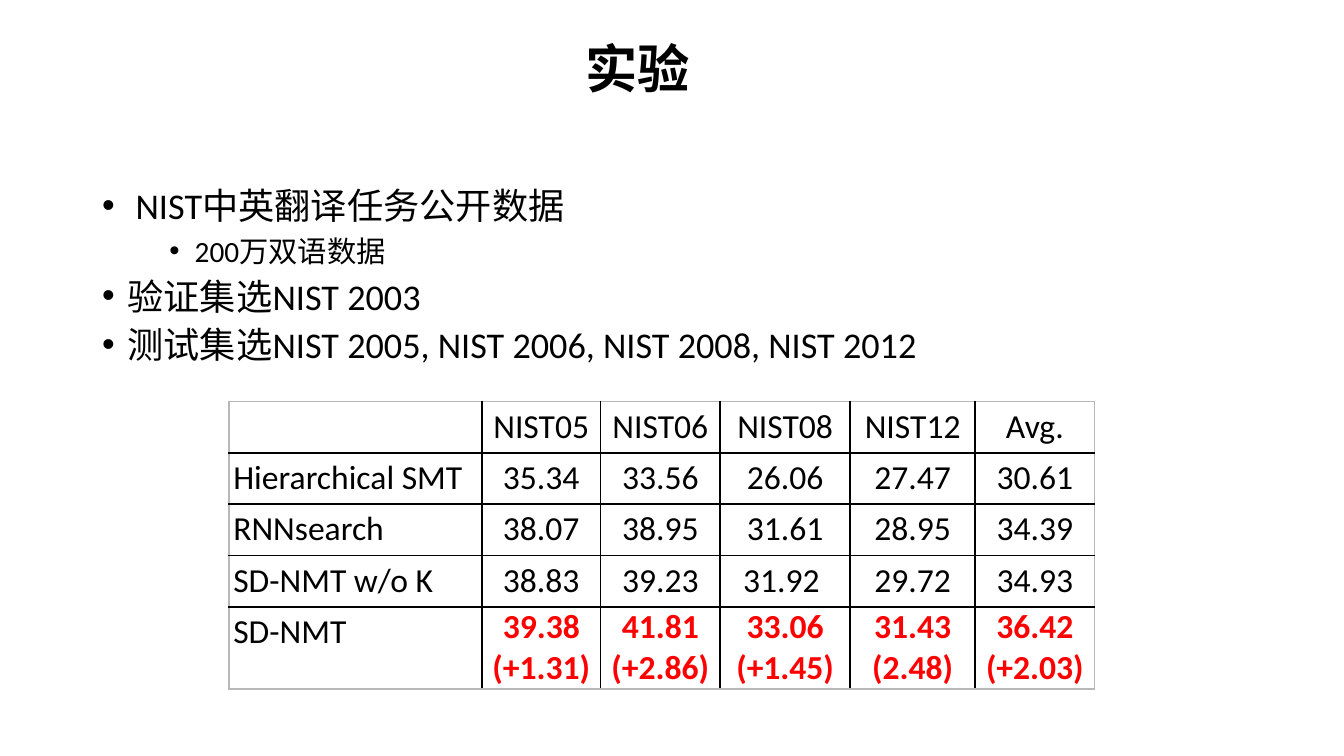
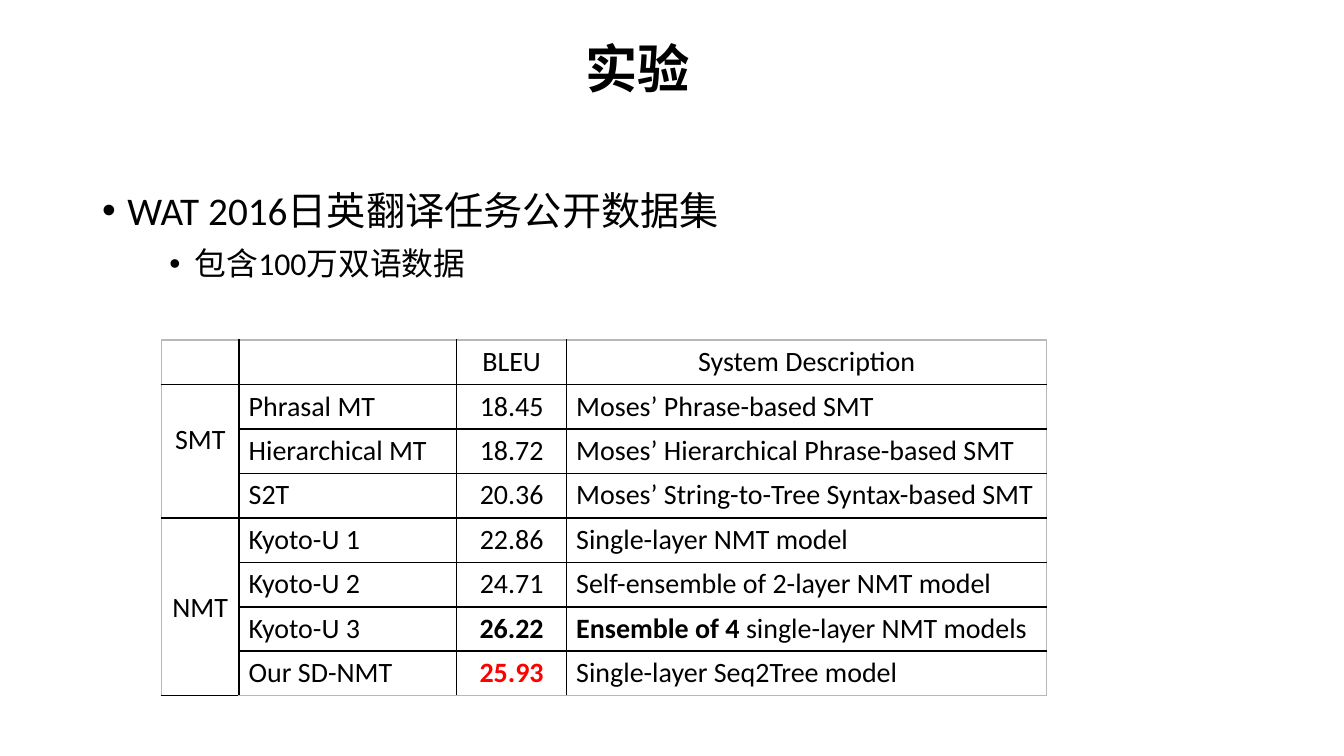
from dataclasses import dataclass
from typing import Union

from lxml import etree
from pptx import Presentation
from pptx import util as u
from pptx.dml.color import RGBColor
from pptx.enum import text
from pptx.oxml import ns

BLACK, RED, GREY = "000000", "FF0000", "B8B8B8"
BODY_FONT, TITLE_FONT = "Calibri", "Times New Roman"
HANGING = 0.48
SIDE_INSET, TOP_INSET = 0.18, 0.09


@dataclass
class Run:
    text: str
    bold: bool = False
    colour: str = BLACK


@dataclass
class Bullet:
    text: str
    size: float
    level: int = 0


# A cell is plain text or a list of paragraphs, each a list of runs.
CellText = Union[str, list[list[Run]]]


@dataclass
class Grid:
    left: float
    top: float
    columns: list[float]
    rows: list[float]
    size: float
    side_inset: float
    centred: set[int]
    cells: list[list[CellText]]


def rgb(colour: str) -> RGBColor:
    return RGBColor.from_string(colour)


def write_runs(paragraph, runs: list[Run], size: float, font: str = BODY_FONT) -> None:
    for part in runs:
        run = paragraph.add_run()
        run.text = part.text
        run.font.name = font
        run.font.size = u.Pt(size)
        run.font.bold = part.bold
        run.font.color.rgb = rgb(part.colour)


def add_text_box(slide, left: float, top: float, width: float, height: float):
    frame = slide.shapes.add_textbox(
        u.Cm(left), u.Cm(top), u.Cm(width), u.Cm(height)).text_frame
    frame.word_wrap = True
    return frame


def add_title(slide, title: str) -> None:
    frame = add_text_box(slide, 3.61, 0, 16.89, 2.57)
    frame.vertical_anchor = text.MSO_ANCHOR.MIDDLE
    paragraph = frame.paragraphs[0]
    paragraph.alignment = text.PP_ALIGN.CENTER
    write_runs(paragraph, [Run(title, bold=True)], 28, TITLE_FONT)


def add_bullets(slide, height: float, line_spacing: float, bullets: list[Bullet]) -> None:
    frame = add_text_box(slide, 1.75, 3.53, 21.89, height)
    frame.margin_left = frame.margin_right = u.Cm(SIDE_INSET)
    frame.margin_top = frame.margin_bottom = u.Cm(TOP_INSET)
    for index, bullet in enumerate(bullets):
        paragraph = frame.add_paragraph() if index else frame.paragraphs[0]
        paragraph.level = bullet.level
        paragraph.line_spacing = line_spacing
        paragraph.space_before = u.Pt(7.5 if index else 0)
        properties = paragraph._p.get_or_add_pPr()
        properties.set("marL", str(u.Cm(HANGING + 1.27 * bullet.level)))
        properties.set("indent", str(-u.Cm(HANGING)))
        etree.SubElement(properties, ns.qn("a:buFont")).set("typeface", "Arial")
        etree.SubElement(properties, ns.qn("a:buChar")).set("char", "•")
        write_runs(paragraph, [Run(bullet.text)], bullet.size)


def set_borders(cell, colours: dict[str, str]) -> None:
    """Put 1 pt lines ahead of the fill, where the schema wants them."""
    properties = cell._tc.get_or_add_tcPr()
    for position, (side, colour) in enumerate(colours.items()):
        line = etree.Element(ns.qn(f"a:ln{side}"), w=str(u.Pt(1)))
        fill = etree.SubElement(line, ns.qn("a:solidFill"))
        etree.SubElement(fill, ns.qn("a:srgbClr")).set("val", colour)
        properties.insert(position, line)


def fill_cell(cell, content: CellText, size: float, centred: bool) -> None:
    lines = [[Run(content)]] if isinstance(content, str) else content
    for index, runs in enumerate(lines):
        frame = cell.text_frame
        paragraph = frame.add_paragraph() if index else frame.paragraphs[0]
        if centred:
            paragraph.alignment = text.PP_ALIGN.CENTER
        if content:
            write_runs(paragraph, runs, size)
        else:
            end = etree.SubElement(paragraph._p, ns.qn("a:endParaRPr"))
            end.set("sz", str(int(size * 100)))


def add_grid(slide, grid: Grid):
    last_row, last_column = len(grid.rows) - 1, len(grid.columns) - 1
    table = slide.shapes.add_table(
        len(grid.rows), len(grid.columns), u.Cm(grid.left), u.Cm(grid.top),
        u.Cm(sum(grid.columns)), u.Cm(sum(grid.rows))).table
    table.first_row = table.horz_banding = False
    for column, width in zip(table.columns, grid.columns):
        column.width = u.Cm(width)
    for row, height in zip(table.rows, grid.rows):
        row.height = u.Cm(height)
    for r, contents in enumerate(grid.cells):
        for c, content in enumerate(contents):
            cell = table.cell(r, c)
            cell.margin_left = cell.margin_right = u.Cm(grid.side_inset)
            cell.margin_top = cell.margin_bottom = u.Cm(TOP_INSET)
            cell.fill.background()
            set_borders(cell, {
                "L": GREY if c == 0 else BLACK,
                "R": GREY if c == last_column else BLACK,
                "T": GREY if r == 0 else BLACK,
                "B": GREY if r == last_row else BLACK})
            fill_cell(cell, content, grid.size, r == 0 or c in grid.centred)
    return table


def red_lines(*lines: str) -> CellText:
    return [[Run(line, bold=True, colour=RED)] for line in lines]


def build_nist_slide(slide) -> None:
    grid = Grid(
        4.33, 7.59, [4.78, 2.24, 2.26, 2.46, 2.36, 2.26], [0.97] * 4 + [1.52],
        18, 0.08, set(range(1, 6)), [
            ["", "NIST05", "NIST06", "NIST08", "NIST12", "Avg."],
            ["Hierarchical SMT", "35.34", "33.56", "26.06", "27.47", "30.61"],
            ["RNNsearch", "38.07", "38.95", "31.61", "28.95", "34.39"],
            ["SD-NMT w/o K", "38.83", "39.23", "31.92 ", "29.72", "34.93"],
            ["SD-NMT", red_lines("39.38", "(+1.31)"), red_lines("41.81", "(+2.86)"),
             red_lines("33.06", "(+1.45)"), red_lines("31.43", "(2.48)"),
             red_lines("36.42 (+2.03)")],
        ])
    table = add_grid(slide, grid)
    for column in grid.centred:
        cell = table.cell(4, column)
        cell.margin_top = cell.margin_bottom = 0
    add_bullets(slide, 3.76, 0.8, [
        Bullet(" NIST中英翻译任务公开数据", 19.4),
        Bullet("200万双语数据", 15.7, level=1),
        Bullet("验证集选NIST 2003", 19.4),
        Bullet("测试集选NIST 2005, NIST 2006, NIST 2008, NIST 2012", 19.4),
    ])


def build_wat_slide(slide) -> None:
    table = add_grid(slide, Grid(
        3.05, 6.43, [1.47, 4.11, 2.08, 9.07], [0.84] * 8, 15, SIDE_INSET, {0, 2}, [
            ["", "", "BLEU", "System Description"],
            ["SMT", "Phrasal MT", "18.45", "Moses’ Phrase-based SMT"],
            ["", "Hierarchical MT", "18.72", "Moses’ Hierarchical Phrase-based SMT"],
            ["", "S2T", "20.36", "Moses’ String-to-Tree Syntax-based SMT"],
            ["NMT", "Kyoto-U 1", "22.86", "Single-layer NMT model"],
            ["", "Kyoto-U 2", "24.71", "Self-ensemble of 2-layer NMT model"],
            ["", "Kyoto-U 3", [[Run("26.22", bold=True)]],
             [[Run("Ensemble of 4 ", bold=True), Run("single-layer NMT models")]]],
            ["", "Our SD-NMT", red_lines("25.93"), "Single-layer Seq2Tree model"],
        ]))
    line_height = 0.64
    for first, last, lines_above in ((1, 3, 1), (4, 7, 2)):
        group = table.cell(first, 0)
        group.merge(table.cell(last, 0))
        group.margin_top = u.Cm(TOP_INSET + lines_above * line_height)
    add_bullets(slide, 3.15, 0.9, [
        Bullet("WAT 2016日英翻译任务公开数据集", 21),
        Bullet("包含100万双语数据", 17, level=1),
    ])


def main() -> None:
    presentation = Presentation()
    presentation.slide_width = u.Cm(25.4)
    presentation.slide_height = u.Cm(14.29)
    for build in (build_nist_slide, build_wat_slide):
        slide = presentation.slides.add_slide(presentation.slide_layouts[6])
        build(slide)
        add_title(slide, "实验")
    presentation.save("out.pptx")


if __name__ == "__main__":
    main()
